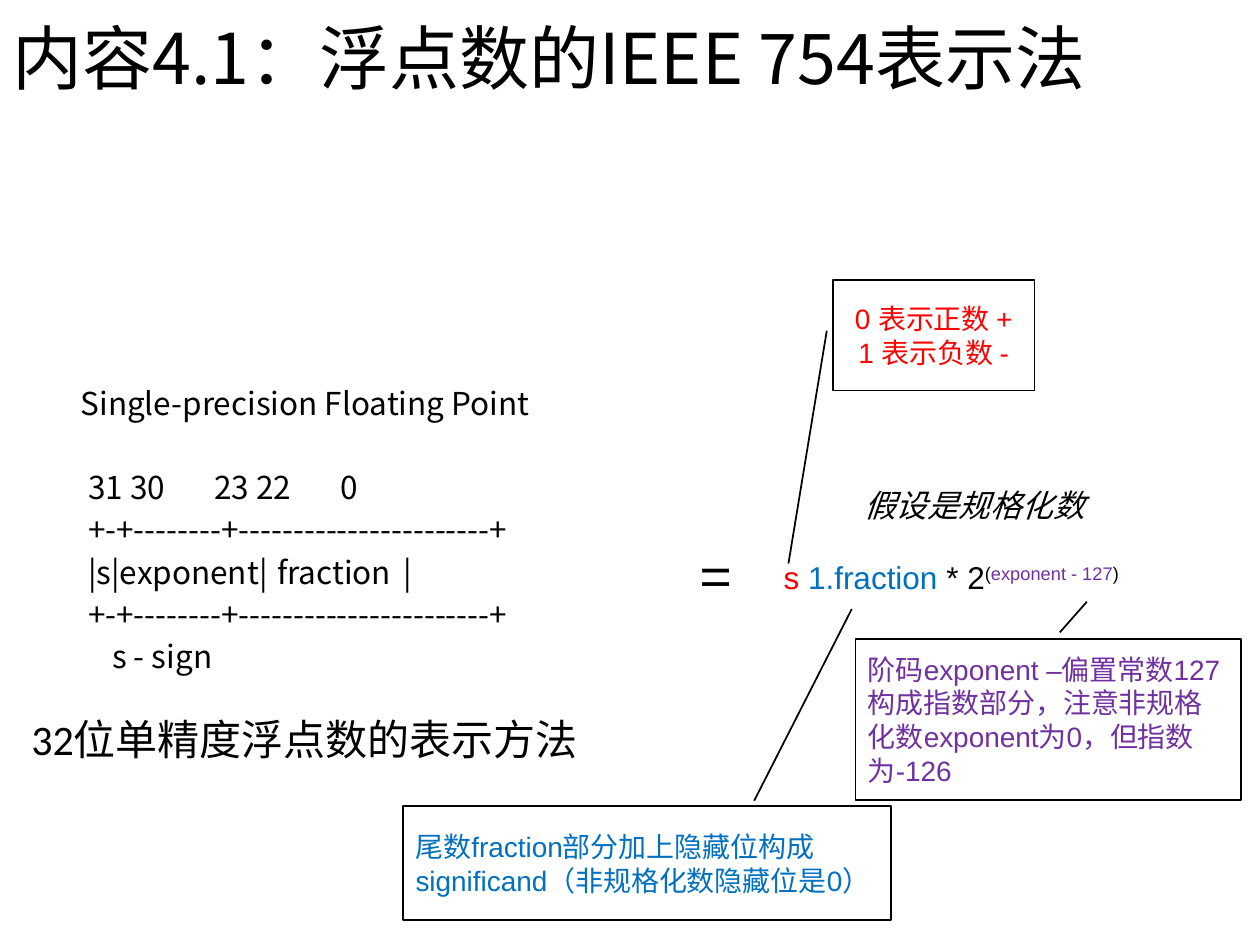
"""Build a slide on the IEEE 754 representation of floating-point numbers."""
from dataclasses import dataclass

from lxml.etree import SubElement
from pptx import Presentation
from pptx.dml.color import RGBColor
from pptx.enum.shapes import MSO_SHAPE
from pptx.enum.text import MSO_ANCHOR, MSO_AUTO_SIZE, PP_ALIGN
from pptx.oxml.ns import qn
from pptx.util import Inches, Pt

BLACK = RGBColor(0, 0, 0)
WHITE = RGBColor(255, 255, 255)
RED = RGBColor(255, 0, 0)
BLUE = RGBColor(0, 112, 192)
PURPLE = RGBColor(112, 48, 160)
CJK = "Noto Sans CJK SC"
COLS, ROWS = 100, 75
WIDTH, HEIGHT = Inches(10), Inches(7.5)


@dataclass
class Run:
    text: str
    color: RGBColor = BLACK
    raised: bool = False


@dataclass
class Label:
    box: tuple[float, float, float, float]
    runs: list[Run]
    size: int
    font: str
    italic: bool = False


@dataclass
class Callout:
    box: tuple[float, float, float, float]
    lines: list[str]
    color: RGBColor
    leader: tuple[float, float, float, float]
    align: PP_ALIGN = PP_ALIGN.LEFT


@dataclass
class Row:
    text: str
    indent: float = 0.6
    before: float = 2.5
    tabs: tuple[float, ...] = ()


LABELS = [
    Label((1.5, 56.1, 45.8, 5), [Run("32位单精度浮点数的表示方法")], 24, "Calibri"),
    Label((61.2, 43.8, 29.8, 4), [
        Run("s ", RED), Run("1.fraction", BLUE), Run(" * 2"), Run("(", raised=True),
        Run("exponent - 127", PURPLE, True), Run(")", raised=True)], 18, "Arial"),
    Label((54.6, 42.6, 5.4, 6.4), [Run("=")], 32, CJK),
    Label((67.6, 38.1, 19.7, 4), [Run("假设是规格化数")], 18, "Calibri", True),
]
CALLOUTS = [
    Callout((66.1, 22.2, 16, 8.8), ["0 表示正数 +", "1 表示负数 -"], RED,
            (0.46, -0.03, 2.56, -0.22), PP_ALIGN.CENTER),
    Callout((32, 64, 38.7, 9), ["尾数fraction部分加上隐藏位构成significand（非规格化数隐藏位是0）"],
            BLUE, (-0.05, 0.72, -1.74, 0.92)),
    Callout((67.9, 50.7, 30.6, 12.8),
            ["阶码exponent –偏置常数127构成指数部分，注意非规格化数exponent为0，但指数为-126"],
            PURPLE, (-0.04, 0.53, -0.23, 0.6)),
]
RULE = "+-+--------+-----------------------+"
LAYOUT = [
    Row("Single-precision Floating Point", 0),
    Row("31 30\t23 22\t0", before=26.5, tabs=(8.8, 26.3)),
    Row(RULE),
    Row("|s|exponent|\tfraction\t|", tabs=(19.3, 32.3)),
    Row(RULE),
    Row("s - sign", 2.5),
]


def col(n: float) -> int:
    """Return the length of n grid columns."""
    return round(WIDTH * n / COLS)


def place(box: tuple[float, float, float, float]) -> tuple[int, ...]:
    """Convert a grid box to slide lengths."""
    x, y, w, h = box
    return col(x), round(HEIGHT * y / ROWS), col(w), round(HEIGHT * h / ROWS)


def add_run(p, run: Run, size: int, font: str, italic: bool = False) -> None:
    """Append a formatted run to a paragraph."""
    r = p.add_run()
    r.text = run.text
    for name, value in {"size": Pt(size), "name": font, "italic": italic}.items():
        setattr(r.font, name, value)
    r.font.color.rgb = run.color
    rPr = r.font._element
    SubElement(rPr, qn("a:ea")).set("typeface", CJK)
    if run.raised:
        rPr.set("baseline", "30000")


def add_box(s, box: tuple[float, float, float, float]):
    """Add a wrapping text box and return its text frame."""
    tf = s.shapes.add_textbox(*place(box)).text_frame
    tf.word_wrap = True
    tf.auto_size = MSO_AUTO_SIZE.SHAPE_TO_FIT_TEXT
    return tf


def add_label(s, label: Label) -> None:
    """Draw a one-paragraph label."""
    p = add_box(s, label.box).paragraphs[0]
    for run in label.runs:
        add_run(p, run, label.size, label.font, label.italic)


def add_callout(s, callout: Callout) -> None:
    """Draw a bordered callout with its leader line."""
    sp = s.shapes.add_shape(MSO_SHAPE.LINE_CALLOUT_1, *place(callout.box))
    sp.shadow.inherit = False
    sp.fill.solid()
    sp.fill.fore_color.rgb = WHITE
    sp.line.color.rgb = BLACK
    sp.line.width = Pt(1)
    for i, value in enumerate(callout.leader):
        sp.adjustments[i] = value
    tf = sp.text_frame
    tf.word_wrap = True
    tf.vertical_anchor = MSO_ANCHOR.MIDDLE
    for i, line in enumerate(callout.lines):
        p = tf.add_paragraph() if i else tf.paragraphs[0]
        p.alignment = callout.align
        add_run(p, Run(line, callout.color), 16, "Arial")


def add_layout(s, rows: list[Row]) -> None:
    """Draw the bit layout with its columns on tab stops."""
    tf = add_box(s, (-10.1, 30, 94.7, 24.7))
    tf.margin_left = col(16.5)
    for i, row in enumerate(rows):
        p = tf.add_paragraph() if i else tf.paragraphs[0]
        p.alignment = PP_ALIGN.JUSTIFY
        p.space_before = Pt(row.before)
        pPr = p._p.get_or_add_pPr()
        pPr.set("marL", str(col(row.indent)))
        pPr.set("indent", "0")
        if row.tabs:
            stops = SubElement(pPr, qn("a:tabLst"))
            for stop in row.tabs:
                SubElement(stops, qn("a:tab"), pos=str(col(stop)), algn="l")
        add_run(p, Run(row.text), 18, "Noto Sans CJK KR")


def add_title(s, text: str) -> None:
    """Place and format the title placeholder."""
    sp = s.shapes.title
    sp.left, sp.top, sp.width, sp.height = place((0, 0, 100, 9.8))
    tf = sp.text_frame
    tf.vertical_anchor = MSO_ANCHOR.MIDDLE
    p = tf.paragraphs[0]
    for name, value in {"alignment": PP_ALIGN.LEFT, "line_spacing": 0.9}.items():
        setattr(p, name, value)
    add_run(p, Run(text), 40, CJK)


def main() -> None:
    """Build and save the presentation."""
    prs = Presentation()
    prs.slide_width, prs.slide_height = WIDTH, HEIGHT
    s = prs.slides.add_slide(prs.slide_layouts[5])
    add_title(s, "内容4.1：浮点数的IEEE 754表示法")
    add_layout(s, LAYOUT)
    for label in LABELS:
        add_label(s, label)
    for callout in CALLOUTS:
        add_callout(s, callout)
    prs.save("out.pptx")


if __name__ == "__main__":
    main()
